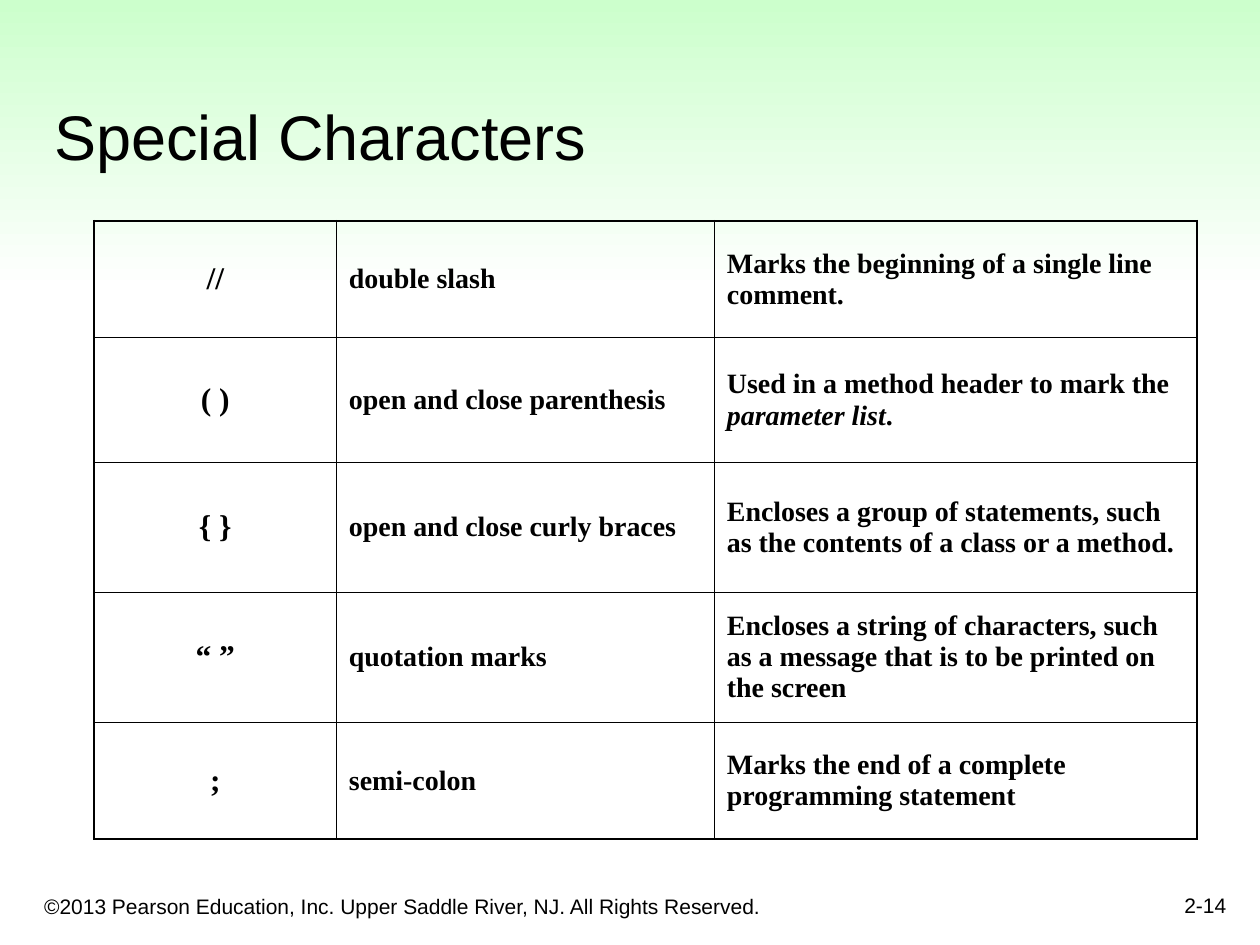
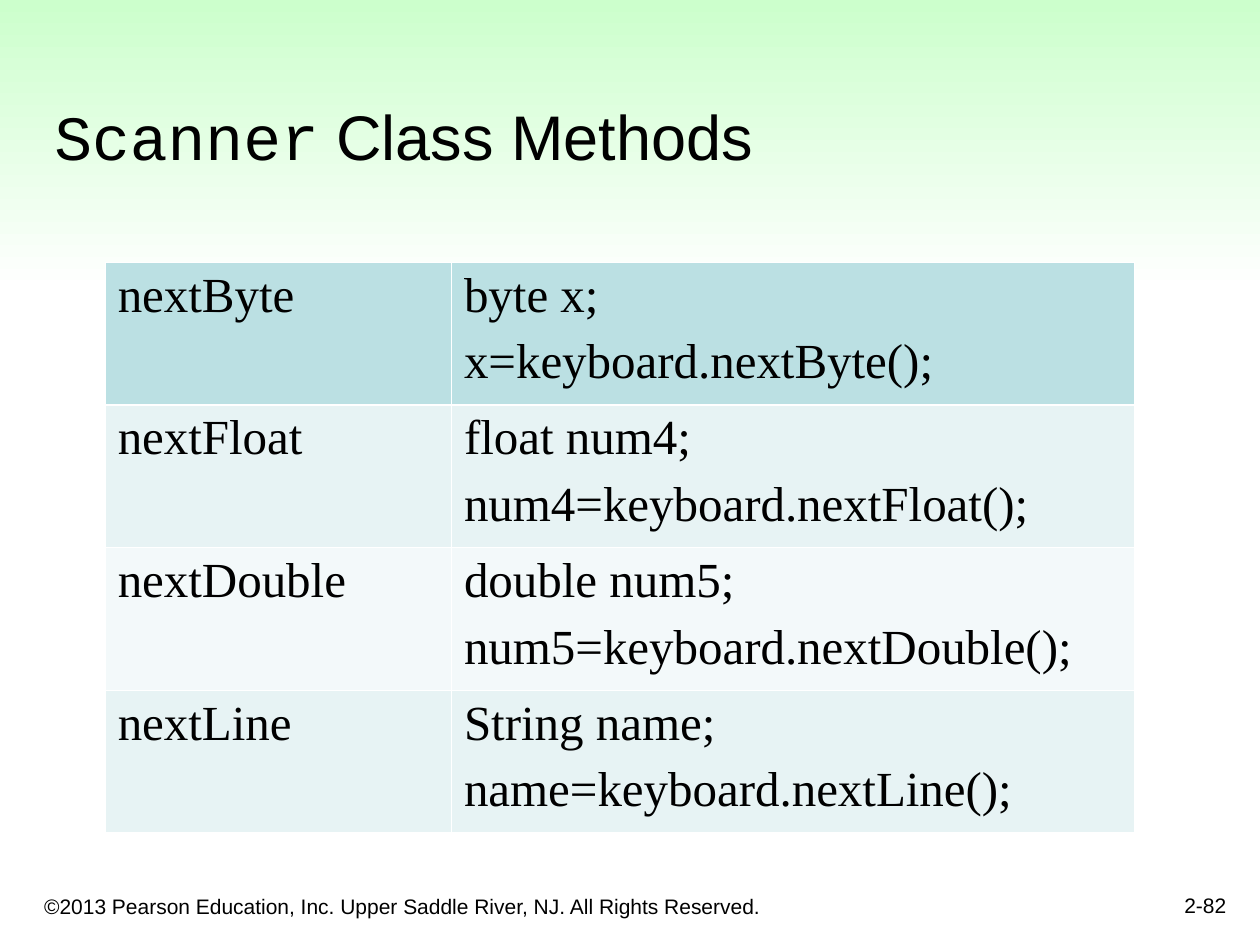
"""Builds two slides on Java special characters and Scanner methods."""
import pptx
import pptx.dml.color
import pptx.enum.shapes
import pptx.enum.text
import pptx.oxml
import pptx.oxml.ns
import pptx.util

Cm = pptx.util.Cm
Pt = pptx.util.Pt
ALIGN = pptx.enum.text.PP_ALIGN
ANCHOR = pptx.enum.text.MSO_ANCHOR

BLACK, WHITE, MINT = "000000", "FFFFFF", "CCFFCC"
HEADER_FILL, ODD_FILL, EVEN_FILL = "BBE0E3", "E7F3F4", "F3F9FA"
SANS, SERIF, MONO = "Arial", "Times New Roman", "Courier New"
COPYRIGHT = "©2013 Pearson Education, Inc. Upper Saddle River, NJ. All Rights Reserved."

CHARACTERS = [
    ("//", "double slash", "Marks the beginning of a single line comment."),
    ("( )", "open and close parenthesis",
     [("Used in a method header to mark the ", {}),
      ("parameter list", {"italic": True}), (".", {})]),
    ("{ }", "open and close curly braces",
     "Encloses a group of statements, such as the contents of a class or a method."),
    ("“ ”", "quotation marks",
     "Encloses a string of characters, such as a message that is to be printed on the screen"),
    (";", "semi-colon", "Marks the end of a complete programming statement"),
]
METHODS = [
    ("nextByte", "byte x;\nx=keyboard.nextByte();"),
    ("nextFloat", "float num4;\nnum4=keyboard.nextFloat();"),
    ("nextDouble", "double num5;\nnum5=keyboard.nextDouble();"),
    ("nextLine", "String name;\nname=keyboard.nextLine();"),
]


def rgb(hex_colour):
    """Return a colour object for a hex string."""
    return pptx.dml.color.RGBColor.from_string(hex_colour)


def write(frame, text, size=12, font=SANS, bold=False, align=ALIGN.LEFT, gap=0):
    """Fill a frame with lines of text, or with one line of (text, overrides) runs."""
    frame.word_wrap = True
    lines = [[(line, {})] for line in text.split("\n")] if isinstance(text, str) else [text]
    for index, line in enumerate(lines):
        paragraph = frame.add_paragraph() if index else frame.paragraphs[0]
        paragraph.alignment = align
        paragraph.space_before = Pt(gap if index else 0)
        for words, overrides in line:
            run = paragraph.add_run()
            run.text = words
            run.font.size = Pt(size)
            run.font.name = overrides.get("font", font)
            run.font.bold = bold
            run.font.italic = overrides.get("italic", False)
            run.font.color.rgb = rgb(BLACK)


def add_band(slide):
    """Lay the fading mint band behind everything on the slide."""
    band = slide.shapes.add_shape(
        pptx.enum.shapes.MSO_SHAPE.RECTANGLE, 0, 0, Cm(25.4), Cm(5.89))
    band.shadow.inherit = False
    band.line.fill.background()
    band.fill.gradient()
    band.fill.gradient_angle = 270
    for stop, colour in zip(band.fill.gradient_stops, (MINT, WHITE)):
        stop.color.rgb = rgb(colour)
    band._element.getparent().insert(2, band._element)


def add_note(slide, text, left, top, width, height, **style):
    """Add a small bottom-anchored line of text."""
    note = slide.shapes.add_textbox(Cm(left), Cm(top), Cm(width), Cm(height))
    note.text_frame.vertical_anchor = ANCHOR.BOTTOM
    write(note.text_frame, text, **style)


def add_page(deck, title, number):
    """Add a titled slide with the shared band and footer."""
    slide = deck.slides.add_slide(deck.slide_layouts[5])
    slide.background.fill.solid()
    slide.background.fill.fore_color.rgb = rgb(WHITE)
    add_band(slide)
    heading = slide.shapes.title
    heading.left, heading.top = Cm(0.84), Cm(0.84)
    heading.width, heading.height = Cm(23.93), Cm(2.77)
    heading.text_frame.auto_size = pptx.enum.text.MSO_AUTO_SIZE.NONE
    heading.text_frame.vertical_anchor = ANCHOR.BOTTOM
    write(heading.text_frame, title, size=36)
    add_note(slide, COPYRIGHT, 0.64, 17.58, 15.44, 1.07)
    add_note(slide, number, 19.69, 17.35, 5.28, 1.27, align=ALIGN.RIGHT)
    return slide


def set_borders(cell, colour, widths):
    """Draw the left, right, top and bottom borders of a cell."""
    properties = cell._tc.get_or_add_tcPr()
    for index, (side, width) in enumerate(zip("LRTB", widths)):
        properties.insert(index, pptx.oxml.parse_xml(
            f'<a:ln{side} {pptx.oxml.ns.nsdecls("a")} w="{Pt(width)}">'
            f'<a:solidFill><a:srgbClr val="{colour}"/></a:solidFill></a:ln{side}>'))


def add_grid(slide, left, top, columns, heights):
    """Add a plain table with the given column widths and row heights."""
    grid = slide.shapes.add_table(
        len(heights), len(columns), Cm(left), Cm(top),
        Cm(sum(columns)), Cm(sum(heights))).table
    grid.first_row = grid.horz_banding = False
    for column, width in zip(grid.columns, columns):
        column.width = Cm(width)
    for row, height in zip(grid.rows, heights):
        row.height = Cm(height)
    return grid


def add_character_table(slide):
    """Add the ruled table of special characters."""
    grid = add_grid(slide, 1.9, 4.45, [4.88, 7.62, 9.73], [2.36, 2.51, 2.62, 2.62, 2.36])
    last_row, last_column = len(CHARACTERS) - 1, 2
    for row, entry in enumerate(CHARACTERS):
        for column, text in enumerate(entry):
            cell = grid.cell(row, column)
            cell.vertical_anchor = ANCHOR.MIDDLE
            cell.fill.background()
            is_symbol = column == 0
            write(cell.text_frame, text, size=18 if is_symbol else 16, font=SERIF,
                  bold=True, align=ALIGN.CENTER if is_symbol else ALIGN.LEFT)
            outer = (column == 0, column == last_column, row == 0, row == last_row)
            set_borders(cell, BLACK, [1.08 if edge else 0.45 for edge in outer])


def add_method_table(slide):
    """Add the banded table of Scanner methods."""
    grid = add_grid(slide, 2.12, 5.29, [6.98, 13.76], [2.86] * len(METHODS))
    for row, entry in enumerate(METHODS):
        band_fill = ODD_FILL if row % 2 else EVEN_FILL
        for column, text in enumerate(entry):
            cell = grid.cell(row, column)
            cell.fill.solid()
            cell.fill.fore_color.rgb = rgb(band_fill if row else HEADER_FILL)
            write(cell.text_frame, text, size=28, font=SERIF, gap=7)
            set_borders(cell, WHITE, [0.45, 0.45, 1.47 if row == 1 else 0.45,
                                      1.47 if row == 0 else 0.45])


def main():
    """Build and save the deck."""
    deck = pptx.Presentation()
    deck.slide_width, deck.slide_height = Cm(25.4), Cm(19.05)
    add_character_table(add_page(deck, "Special Characters", "2-14"))
    scanner_title = [("Scanner", {"font": MONO}), (" Class Methods", {})]
    add_method_table(add_page(deck, scanner_title, "2-82"))
    deck.save("out.pptx")


if __name__ == "__main__":
    main()
